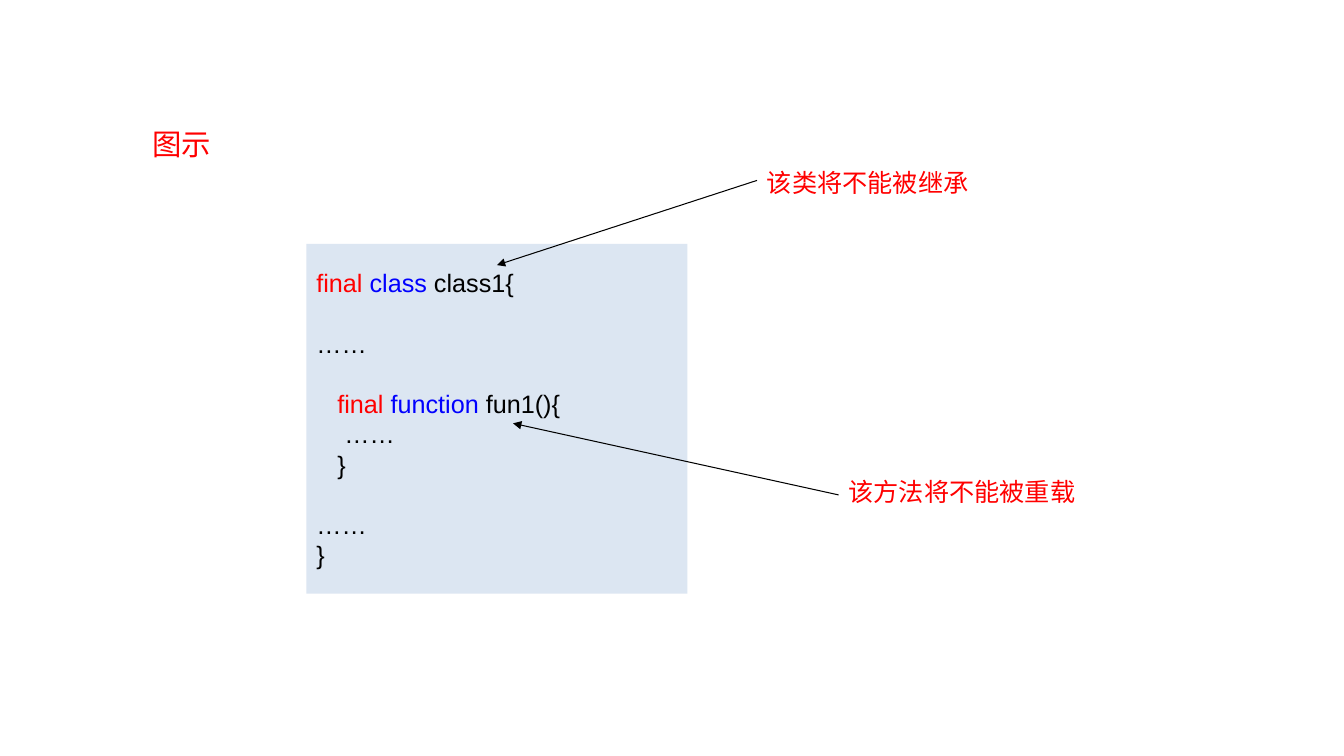
from dataclasses import dataclass

from pptx import Presentation
from pptx.dml.color import RGBColor
from pptx.enum.shapes import MSO_CONNECTOR, MSO_SHAPE
from pptx.enum.text import MSO_ANCHOR, MSO_AUTO_SIZE, PP_ALIGN
from pptx.oxml.ns import qn
from pptx.util import Inches, Pt


@dataclass(frozen=True)
class Theme:
    red: RGBColor = RGBColor(0xFF, 0x00, 0x00)
    blue: RGBColor = RGBColor(0x00, 0x00, 0xFF)
    black: RGBColor = RGBColor(0x00, 0x00, 0x00)
    panel: RGBColor = RGBColor(0xDC, 0xE6, 0xF2)
    code_font: str = "Arial"
    chinese_font: str = "Noto Sans CJK SC"
    title_size: float = 21
    text_size: float = 18
    line_pitch: float = 21.6
    line_width: float = 0.75


THEME = Theme()
COLUMNS, ROWS = 80, 45
CELL = Inches(7.5) / ROWS

# Each line: blank lines above, indent in points, coloured parts
CODE_LINES = [
    (0, 0, [("final ", THEME.red), ("class ", THEME.blue), ("class1{", THEME.black)]),
    (1, 0, [("……", THEME.black)]),
    (1, 15, [("final ", THEME.red), ("function", THEME.blue), (" fun1(){", THEME.black)]),
    (0, 20, [("……", THEME.black)]),
    (0, 15, [("}", THEME.black)]),
    (1, 0, [("……", THEME.black)]),
    (0, 0, [("}", THEME.black)]),
]

# Each note: text, left, top, width, arrow start row, arrow tip
NOTES = [
    ("该类将不能被继承", 45.06, 9.66, 13.2, 10.74, (29.58, 15.78)),
    ("该方法将不能被重载", 49.92, 28.08, 14.7, 29.46, (30.54, 25.2)),
]
NOTE_HEIGHT = 2.4


def cells(*counts):
    """Turn grid counts into slide lengths."""
    return [round(count * CELL) for count in counts]


def write_chinese(text_frame, text, size):
    paragraph = text_frame.paragraphs[0]
    paragraph.text = text
    paragraph.alignment = PP_ALIGN.LEFT
    font = paragraph.font
    font.name = THEME.chinese_font
    font.size = Pt(size)
    font.color.rgb = THEME.red
    east_asian = font._element.makeelement(qn("a:ea"), {"typeface": THEME.chinese_font})
    font._element.find(qn("a:latin")).addnext(east_asian)


def add_title(slide, text):
    title = slide.shapes.title
    title.left, title.top, title.width, title.height = cells(9.06, 7.5, 9.24, 2.1)
    frame = title.text_frame
    frame.margin_left = frame.margin_top = frame.margin_right = frame.margin_bottom = 0
    frame.vertical_anchor = MSO_ANCHOR.TOP
    frame.auto_size = MSO_AUTO_SIZE.NONE
    write_chinese(frame, text, THEME.title_size)


def add_code_panel(slide, lines):
    panel = slide.shapes.add_shape(MSO_SHAPE.RECTANGLE, *cells(18.24, 14.52, 22.68, 20.82))
    panel.shadow.inherit = False
    panel.fill.solid()
    panel.fill.fore_color.rgb = THEME.panel
    panel.line.fill.background()
    frame = panel.text_frame
    frame.word_wrap = True
    frame.vertical_anchor = MSO_ANCHOR.MIDDLE
    for index, (blank_lines, indent, parts) in enumerate(lines):
        paragraph = frame.add_paragraph() if index else frame.paragraphs[0]
        paragraph.alignment = PP_ALIGN.LEFT
        paragraph.line_spacing = Pt(THEME.line_pitch)
        paragraph.space_before = Pt(blank_lines * THEME.line_pitch)
        paragraph.font.name = THEME.code_font
        paragraph.font.size = Pt(THEME.text_size)
        paragraph._p.get_or_add_pPr().set("marL", str(Pt(indent)))
        for text, color in parts:
            run = paragraph.add_run()
            run.text = text
            run.font.color.rgb = color


def add_arrow(slide, start, tip):
    arrow = slide.shapes.add_connector(MSO_CONNECTOR.STRAIGHT, *cells(*start, *tip))
    arrow.line.color.rgb = THEME.black
    arrow.line.width = Pt(THEME.line_width)
    properties = arrow._element.spPr
    line = properties.find(qn("a:ln"))
    line.append(line.makeelement(qn("a:tailEnd"), {"type": "triangle"}))
    properties.append(properties.makeelement(qn("a:effectLst"), {}))


def add_note(slide, text, left, top, width):
    note = slide.shapes.add_textbox(*cells(left, top, width, NOTE_HEIGHT))
    note.text_frame.word_wrap = False
    write_chinese(note.text_frame, text, THEME.text_size)


def main():
    presentation = Presentation()
    presentation.slide_width, presentation.slide_height = cells(COLUMNS, ROWS)
    title_only = presentation.slide_layouts[5]
    slide = presentation.slides.add_slide(title_only)

    # Heading and code
    add_title(slide, "图示")
    add_code_panel(slide, CODE_LINES)

    # Notes pointing into the code
    for text, left, top, width, start_row, tip in NOTES:
        add_arrow(slide, (left, start_row), tip)
        add_note(slide, text, left, top, width)

    presentation.save("out.pptx")


main()
